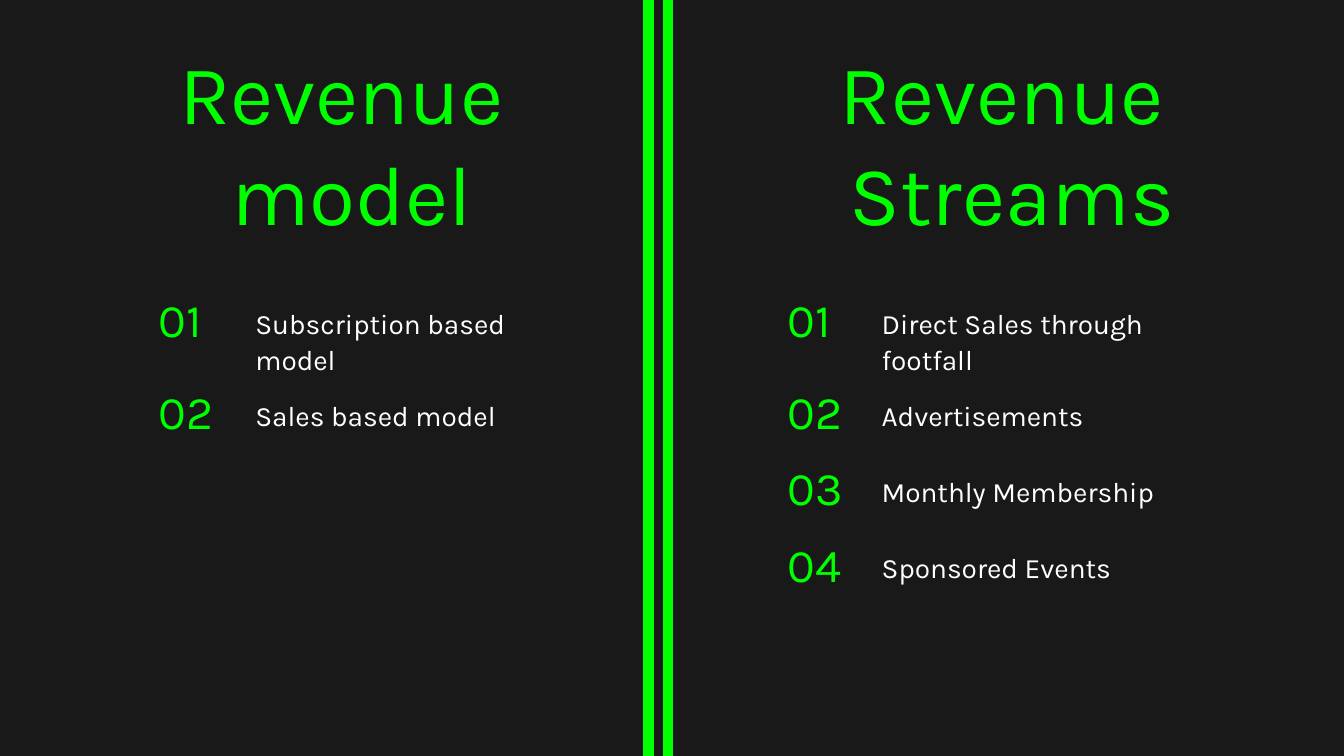
from dataclasses import dataclass

import pptx
import pptx.dml.color
import pptx.enum.shapes
import pptx.enum.text
import pptx.oxml.ns
import pptx.util
from lxml import etree

Pt = pptx.util.Pt
ALIGN = pptx.enum.text.PP_ALIGN


@dataclass(frozen=True)
class Theme:
    background: str = "191919"
    accent: str = "00FF00"
    body: str = "FFFFFF"
    font: str = "Karla"
    heading_size: int = 90
    number_size: int = 50
    label_size: int = 30
    rule_width: int = 11


THEME = Theme()
SLIDE_WIDTH, SLIDE_HEIGHT = 1440, 810
FIRST_ROW, SECOND_ROW, ROW_STEP = 311.8, 410.4, 81.7
LABEL_DROP = 13.3
RULE_POSITIONS = (694.8, 715.7)

COLUMNS = (
    {
        "heading": ("Revenue ", "model"),
        "heading_left": 20.9,
        "number_left": 170,
        "label_left": 273.6,
        "label_width": 310,
        "items": ("Subscription based model", "Sales based model"),
    },
    {
        "heading": ("Revenue ", "Streams"),
        "heading_left": 728.6,
        "number_left": 843.8,
        "label_left": 944.6,
        "label_width": 300,
        "items": (
            "Direct Sales through footfall",
            "Advertisements",
            "Monthly Membership",
            "Sponsored Events",
        ),
    },
)


def apply_format(target, values):
    for attribute, value in values.items():
        setattr(target, attribute, value)


def rgb(value):
    return pptx.dml.color.RGBColor.from_string(value)


def add_text(slide, box, lines, size, leading, color, alignment=ALIGN.LEFT):
    frame = slide.shapes.add_textbox(*map(Pt, box)).text_frame
    apply_format(frame, {
        "margin_left": 0,
        "margin_top": 0,
        "margin_right": 0,
        "margin_bottom": 0,
        "word_wrap": True,
        "auto_size": pptx.enum.text.MSO_AUTO_SIZE.SHAPE_TO_FIT_TEXT,
    })
    for index, line in enumerate(lines):
        paragraph = frame.add_paragraph() if index else frame.paragraphs[0]
        apply_format(paragraph, {"alignment": alignment, "line_spacing": Pt(leading)})
        run = paragraph.add_run()
        run.text = line
        apply_format(run.font, {"name": THEME.font, "size": Pt(size)})
        run.font.color.rgb = rgb(color)


def add_heading(slide, left, lines):
    add_text(slide, (left, 43.9, 711.4, 216.7), lines,
             THEME.heading_size, 108, THEME.accent, ALIGN.CENTER)


def add_item(slide, column, index, label):
    top = SECOND_ROW + (index - 1) * ROW_STEP if index else FIRST_ROW
    add_text(slide, (column["number_left"], top, 70, 60), [f"{index + 1:02}"],
             THEME.number_size, 60, THEME.accent)
    label_height = 37.5 if index else 75.6
    add_text(slide,
             (column["label_left"], top + LABEL_DROP, column["label_width"], label_height),
             [label], THEME.label_size, 39, THEME.body)


def add_divider_rule(slide, x):
    rule = slide.shapes.add_connector(
        pptx.enum.shapes.MSO_CONNECTOR.STRAIGHT, Pt(x), Pt(0), Pt(x), Pt(SLIDE_HEIGHT))
    rule.line.color.rgb = rgb(THEME.accent)
    rule.line.width = Pt(THEME.rule_width)
    etree.SubElement(rule._element.spPr, pptx.oxml.ns.qn("a:effectLst"))


def main():
    deck = pptx.Presentation()
    apply_format(deck, {"slide_width": Pt(SLIDE_WIDTH), "slide_height": Pt(SLIDE_HEIGHT)})
    slide = deck.slides.add_slide(deck.slide_layouts[6])
    slide.background.fill.solid()
    slide.background.fill.fore_color.rgb = rgb(THEME.background)

    for column in COLUMNS:
        add_heading(slide, column["heading_left"], column["heading"])
        for index, label in enumerate(column["items"]):
            add_item(slide, column, index, label)
    for x in RULE_POSITIONS:
        add_divider_rule(slide, x)

    deck.save("out.pptx")


if __name__ == "__main__":
    main()
